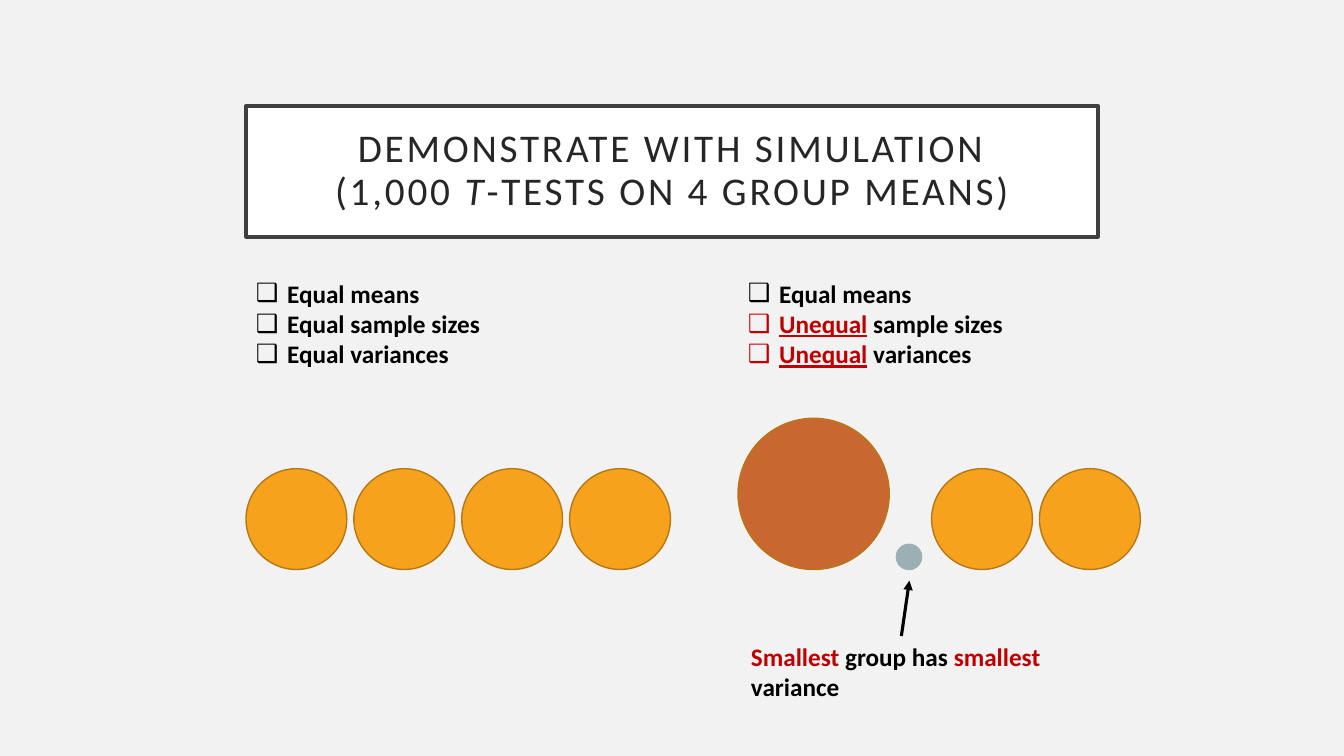
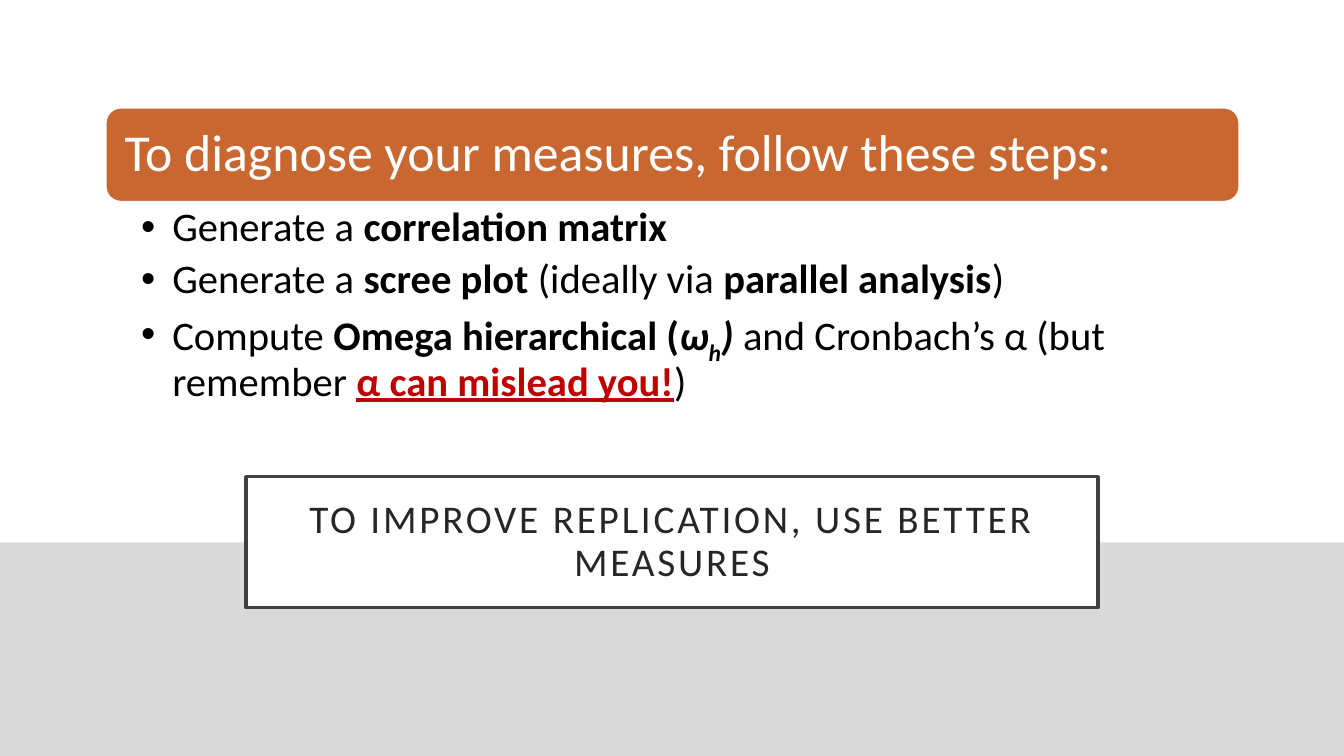
"""Build two slides on group variances and on better measures."""
import pptx
import pptx.dml.color
import pptx.enum.shapes
import pptx.enum.text
import pptx.oxml
import pptx.oxml.ns
import pptx.util
from lxml import etree

Inches, Pt = pptx.util.Inches, pptx.util.Pt
Shape = pptx.enum.shapes.MSO_SHAPE
Align = pptx.enum.text.PP_ALIGN
Anchor = pptx.enum.text.MSO_ANCHOR
qn = pptx.oxml.ns.qn
rgb = pptx.dml.color.RGBColor.from_string

FONT = "Calibri"
BLACK, WHITE, RED = "000000", "FFFFFF", "C00000"
INK, FRAME, PALE, GREY = "262626", "404040", "F2F2F2", "D9D9D9"
GOLD, EDGE, RUST, STEEL = "F6A21D", "B67815", "C96731", "9BAFB5"


def block(slide, kind, at, fill, line=None, width=1):
    """Add a filled shape, outlined if a line colour is given."""
    shape = slide.shapes.add_shape(kind, *map(Inches, at))
    shape.shadow.inherit = False
    shape.fill.solid()
    shape.fill.fore_color.rgb = rgb(fill)
    if line:
        shape.line.color.rgb = rgb(line)
        shape.line.width = Pt(width)
    else:
        shape.line.fill.background()
    return shape


def write(shape, paras, size, color=BLACK, inset=(0.1, 0.05, 0.1, 0.05),
          bullet=None, align=Align.LEFT, space=1, after=0, track=0):
    """Fill a shape with (text, style) runs; styles are b, i, u, r(ed), s(ub)."""
    frame = shape.text_frame
    frame.word_wrap = True
    (frame.margin_left, frame.margin_top,
     frame.margin_right, frame.margin_bottom) = map(Inches, inset)
    for index, runs in enumerate(paras):
        para = frame.add_paragraph() if index else frame.paragraphs[0]
        if bullet:
            props = para._p.get_or_add_pPr()
            props.set("marL", str(Inches(0.31)))
            props.set("indent", str(Inches(-0.31)))
            etree.SubElement(props, qn("a:buFont")).set("typeface", "Arial")
            etree.SubElement(props, qn("a:buChar")).set("char", bullet)
        para.alignment = align
        para.line_spacing = space
        para.space_after = Pt(after)
        for text, style in runs:
            if text == "\n":
                para.add_line_break()
                continue
            run = para.add_run()
            run.text = text
            font = run.font
            font.name, font.size = FONT, Pt(size)
            font.bold, font.italic = "b" in style, "i" in style
            font.underline = "u" in style
            font.color.rgb = rgb(RED if "r" in style else color)
            if "s" in style:
                run._r.get_or_add_rPr().set("baseline", "-25000")
            if track:
                run._r.get_or_add_rPr().set("spc", str(track * 100))


deck = pptx.Presentation()
deck.slide_width, deck.slide_height = Inches(13.33), Inches(7.5)
sim, steps = [deck.slides.add_slide(deck.slide_layouts[6]) for _ in range(2)]
for slide, color in ((sim, PALE), (steps, WHITE)):
    slide.background.fill.solid()
    slide.background.fill.fore_color.rgb = rgb(color)

block(steps, Shape.RECTANGLE, (0, 5.38, 13.33, 2.12), GREY)

titles = [
    (sim, 1.05, [("DEMONSTRATE WITH SIMULATION", ""), ("\n", ""),
                 ("(1,000 ", ""), ("T", "i"),
                 ("-TESTS ON 4 GROUP MEANS)", "")]),
    (steps, 4.73, [("TO IMPROVE REPLICATION, USE BETTER MEASURES", "")]),
]
for slide, top, runs in titles:
    title = block(slide, Shape.RECTANGLE, (2.44, top, 8.45, 1.3),
                  WHITE, FRAME, 2.5)
    title.text_frame.vertical_anchor = Anchor.MIDDLE
    write(title, [runs], 28, INK, (0.2,) * 4, align=Align.CENTER,
          space=0.9, track=2)

base, gap = 5.65, 0.07
group = (1, GOLD, EDGE)
rows = [
    (2.44, [group] * 4),
    (7.32, [(1.5, RUST, EDGE), (0.25, STEEL, STEEL)]),
    (9.24, [group] * 2),
]
for left, disks in rows:
    for size, fill, line in disks:
        block(sim, Shape.OVAL, (left, base - size, size, size), fill, line)
        left += size + gap

lists = [
    (2.44, [[("Equal means", "b")],
            [("Equal sample sizes", "b")],
            [("Equal variances", "b")]]),
    (7.32, [[("Equal means", "b")],
            [("Unequal", "bur"), (" sample sizes", "b")],
            [("Unequal", "bur"), (" variances", "b")]]),
]
for left, paras in lists:
    box = sim.shapes.add_textbox(*map(Inches, (left, 2.71, 3.03, 1.01)))
    write(box, paras, 18, bullet="❑")

note = sim.shapes.add_textbox(*map(Inches, (7.35, 6.31, 3.18, 0.71)))
write(note, [[("Smallest", "br"), (" group has ", "b"),
              ("smallest", "br"), (" variance", "b")]], 18)

arrow = sim.shapes.add_connector(
    pptx.enum.shapes.MSO_CONNECTOR.STRAIGHT,
    *map(Inches, (8.94, 6.31, 9.02, 5.76)))
arrow.begin_connect(note, 0)
arrow.line.color.rgb = rgb(BLACK)
arrow.line.width = Pt(2.25)
etree.SubElement(arrow.line._get_or_add_ln(), qn("a:tailEnd")).set(
    "type", "triangle")
etree.SubElement(arrow._element.spPr, qn("a:effectLst"))

head = block(steps, Shape.ROUNDED_RECTANGLE, (1.04, 1.06, 11.26, 0.95),
             RUST, WHITE, 2.5)
head.text_frame.vertical_anchor = Anchor.MIDDLE
write(head, [[("To diagnose your measures, follow these steps:", "")]],
      37, WHITE, (0.15,) * 4, space=0.9)

body = steps.shapes.add_textbox(*map(Inches, (1.04, 2, 11.26, 2.05)))
write(body, [
    [("Generate a ", ""), ("correlation matrix", "b")],
    [("Generate a ", ""), ("scree plot ", "b"), ("(ideally via ", ""),
     ("parallel analysis", "b"), (")", "")],
    [("Compute ", ""), ("Omega hierarchical (", "b"), ("ω", "bi"),
     ("h", "bis"), (") ", "bi"), ("and Cronbach’s α (but remember ", ""),
     ("α can mislead you!", "bur"), (")", "")],
], 29, inset=(0.36, 0.05, 0.29, 0.05), bullet="•", space=0.9, after=6)

deck.save("out.pptx")
